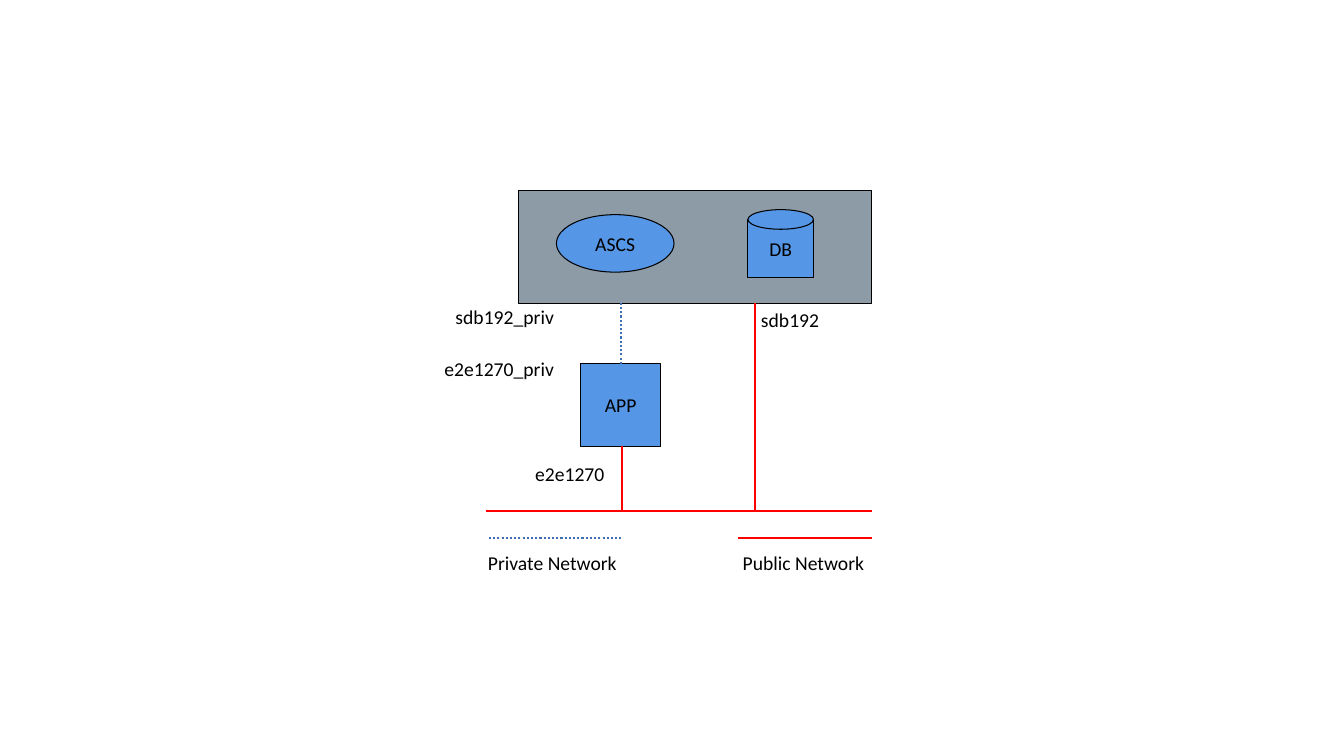
from pptx import Presentation
from pptx.dml.color import RGBColor
from pptx.enum.dml import MSO_LINE
from pptx.enum.shapes import MSO_CONNECTOR, MSO_SHAPE
from pptx.enum.text import MSO_ANCHOR, PP_ALIGN
from pptx.oxml.ns import qn
from pptx.util import Inches, Pt

RECT, OVAL = MSO_SHAPE.RECTANGLE, MSO_SHAPE.OVAL
STRAIGHT = MSO_CONNECTOR.STRAIGHT
DOTTED = MSO_LINE.ROUND_DOT
LEFT, CENTER = PP_ALIGN.LEFT, PP_ALIGN.CENTER
MIDDLE = MSO_ANCHOR.MIDDLE
WIDTH, HEIGHT = Inches(13.33), Inches(7.5)
COLORS = {"host": "8C9BA5", "node": "5596E6", "ink": "000000",
          "public": "FF0000", "private": "3D70B2"}


def color(name):
    """Return the named colour."""
    return RGBColor.from_string(COLORS[name])


def grid(x, y):
    """Turn percentages of the slide's width and height into lengths."""
    return round(WIDTH * x / 100), round(HEIGHT * y / 100)


def write(frame, text, align):
    """Write one line of label text into a frame."""
    frame.word_wrap = True
    line = frame.paragraphs[0]
    line.text, line.alignment = text, align
    line.font.name, line.font.size = "Calibri", Pt(14)
    line.font.color.rgb = color("ink")


def add_node(slide, kind, fill, x, y, w, h, text=""):
    """Draw an outlined part of the system, with its name inside."""
    node = slide.shapes.add_shape(kind, *grid(x, y), *grid(w, h))
    node.shadow.inherit = False
    node.fill.solid()
    node.fill.fore_color.rgb = color(fill)
    node.line.color.rgb = color("ink")
    node.line.width = Pt(0.75)
    if text:
        frame = node.text_frame
        frame.margin_left = frame.margin_right = 0
        frame.vertical_anchor = MIDDLE
        write(frame, text, CENTER)


def add_link(slide, network, x1, y1, x2, y2):
    """Draw a network line, dotted when it is private."""
    link = slide.shapes.add_connector(STRAIGHT, *grid(x1, y1), *grid(x2, y2))
    link.line.color.rgb = color(network)
    link.line.width = Pt(1.5)
    if network == "private":
        link.line.dash_style = DOTTED
    properties = link._element.spPr
    properties.append(properties.makeelement(qn("a:effectLst"), {}))


def add_label(slide, text, x, y, w, align=LEFT):
    """Place a free-standing label."""
    label = slide.shapes.add_textbox(*grid(x, y), *grid(w, 4.5))
    write(label.text_frame, text, align)


def main():
    """Build the network diagram slide."""
    deck = Presentation()
    deck.slide_width, deck.slide_height = WIDTH, HEIGHT
    slide = deck.slides.add_slide(deck.slide_layouts[6])

    host_bottom, app_top, app_bottom = 40.13, 48.13, 59.03
    bus, right, legend = 67.6, 64.88, 71.2
    db_left, db_width = 55.65, 4.88

    add_node(slide, RECT, "host", 38.55, 25.2, 26.33, host_bottom - 25.2)
    add_node(slide, RECT, "node", db_left, 29.07, db_width, 7.6, "DB")
    add_node(slide, OVAL, "node", db_left, 27.73, db_width, 2.6)
    add_node(slide, RECT, "node", 43.2, app_top, 5.95, app_bottom - app_top, "APP")
    add_node(slide, OVAL, "node", 41.4, 28.4, 8.75, 7.6, "ASCS")

    for link in (
        ("public", 36.15, bus, right, bus),
        ("public", 56.18, bus, 56.18, host_bottom),
        ("public", 46.25, bus, 46.25, app_bottom),
        ("private", 46.2, app_top, 46.2, host_bottom),
        ("private", 36.38, legend, 46.28, legend),
        ("public", 54.9, legend, right, legend),
    ):
        add_link(slide, *link)

    for label in (
        ("sdb192_priv", 33.15, 39.73, 10.4),
        ("e2e1270_priv", 32.33, 46.53, 11.25),
        ("e2e1270", 39.08, 60.4, 11.25),
        ("sdb192", 55.88, host_bottom, 10.4),
        ("Private Network", 35.4, 72.27, 11.4, CENTER),
        ("Public Network", 54.08, 72.27, 11.4, CENTER),
    ):
        add_label(slide, *label)

    deck.save("out.pptx")


main()
